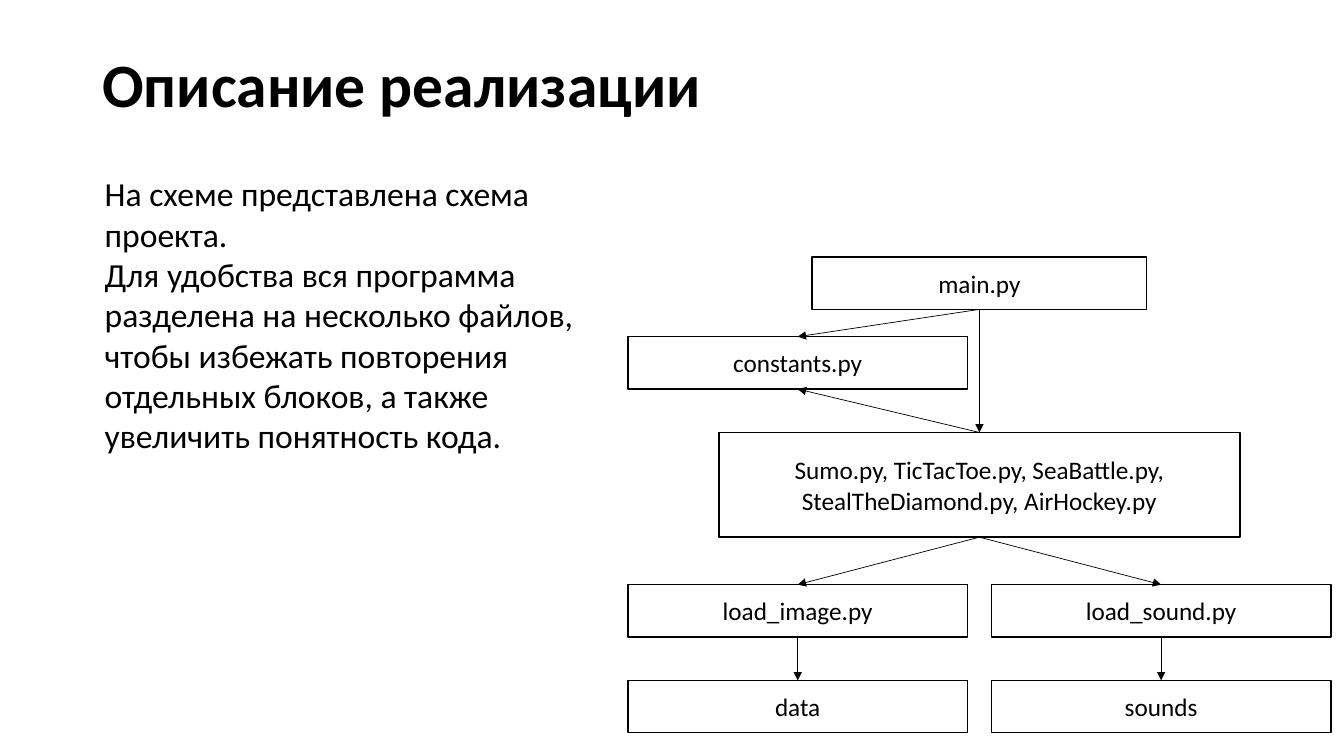
from lxml.etree import SubElement
from pptx import Presentation
from pptx.dml.color import RGBColor
from pptx.enum.shapes import MSO_CONNECTOR, MSO_SHAPE
from pptx.enum.text import MSO_ANCHOR, PP_ALIGN
from pptx.oxml.ns import qn
from pptx.util import Pt

BLACK = RGBColor(0x00, 0x00, 0x00)
WHITE = RGBColor(0xFF, 0xFF, 0xFF)
TOP, BOTTOM = 0, 2  # connection sites of a rectangle


def write(shape, paragraphs, size, bold=False, align=PP_ALIGN.LEFT,
          anchor=MSO_ANCHOR.TOP, spacing=1.0):
    tf = shape.text_frame
    tf.word_wrap = True
    tf.vertical_anchor = anchor
    font_format = {"name": "Calibri", "size": Pt(size), "bold": bold}
    for i, text in enumerate(paragraphs):
        p = tf.add_paragraph() if i else tf.paragraphs[0]
        p.alignment = align
        p.line_spacing = spacing
        r = p.add_run()
        r.text = text
        r.font.color.rgb = BLACK
        for name, value in font_format.items():
            setattr(r.font, name, value)


prs = Presentation()
prs.slide_width, prs.slide_height = Pt(960), Pt(540)
s = prs.slides.add_slide(prs.slide_layouts[6])

title = s.shapes.add_textbox(Pt(66), Pt(28.8), Pt(828), Pt(67))
write(title, ["Описание реализации"], 44, bold=True,
      anchor=MSO_ANCHOR.MIDDLE, spacing=0.9)

# File boxes: label, centre x, top, width, height
MIDDLE = 699.6
LEFT, RIGHT = MIDDLE - 129.8, MIDDLE + 129.8
SIDE_W, BOX_H = 242.6, 37.4
files = {
    "main": ("main.py", MIDDLE, 183.6, 239, BOX_H),
    "games": ("Sumo.py, TicTacToe.py, SeaBattle.py, StealTheDiamond.py, AirHockey.py",
              MIDDLE, 308.9, 372.2, 2 * BOX_H),
    "load_image": ("load_image.py", LEFT, 417.6, SIDE_W, BOX_H),
    "load_sound": ("load_sound.py", RIGHT, 417.6, SIDE_W, BOX_H),
    "data": ("data", LEFT, 486, SIDE_W, BOX_H),
    "sounds": ("sounds", RIGHT, 486, SIDE_W, BOX_H),
    "constants": ("constants.py", LEFT, 240.5, SIDE_W, BOX_H),
}
boxes = {}
for key, (label, center, top, width, height) in files.items():
    sp = s.shapes.add_shape(MSO_SHAPE.RECTANGLE, Pt(center - width / 2), Pt(top),
                            Pt(width), Pt(height))
    sp.shadow.inherit = False
    sp.fill.solid()
    sp.fill.fore_color.rgb = WHITE
    sp.line.color.rgb = BLACK
    sp.line.width = Pt(1)
    write(sp, [label], 18, align=PP_ALIGN.CENTER, anchor=MSO_ANCHOR.MIDDLE)
    boxes[key] = sp

arrows = [
    ("load_image", BOTTOM, "data", TOP),
    ("load_sound", BOTTOM, "sounds", TOP),
    ("games", BOTTOM, "load_image", TOP),
    ("games", BOTTOM, "load_sound", TOP),
    ("main", BOTTOM, "games", TOP),
    ("main", BOTTOM, "constants", TOP),
    ("games", TOP, "constants", BOTTOM),
]
for source, source_site, target, target_site in arrows:
    arrow = s.shapes.add_connector(MSO_CONNECTOR.STRAIGHT, 0, 0, 0, 0)
    arrow.begin_connect(boxes[source], source_site)
    arrow.end_connect(boxes[target], target_site)
    arrow.line.color.rgb = BLACK
    arrow.line.width = Pt(0.5)
    SubElement(arrow.line._get_or_add_ln(), qn("a:tailEnd"), type="triangle")
    SubElement(arrow._element.spPr, qn("a:effectLst"))

description = s.shapes.add_textbox(Pt(67.7), Pt(120.2), Pt(382.3), Pt(211))
write(description, [
    "На схеме представлена схема проекта.",
    "Для удобства вся программа разделена на несколько файлов, чтобы избежать "
    "повторения отдельных блоков, а также увеличить понятность кода.",
], 24)

prs.save("out.pptx")
